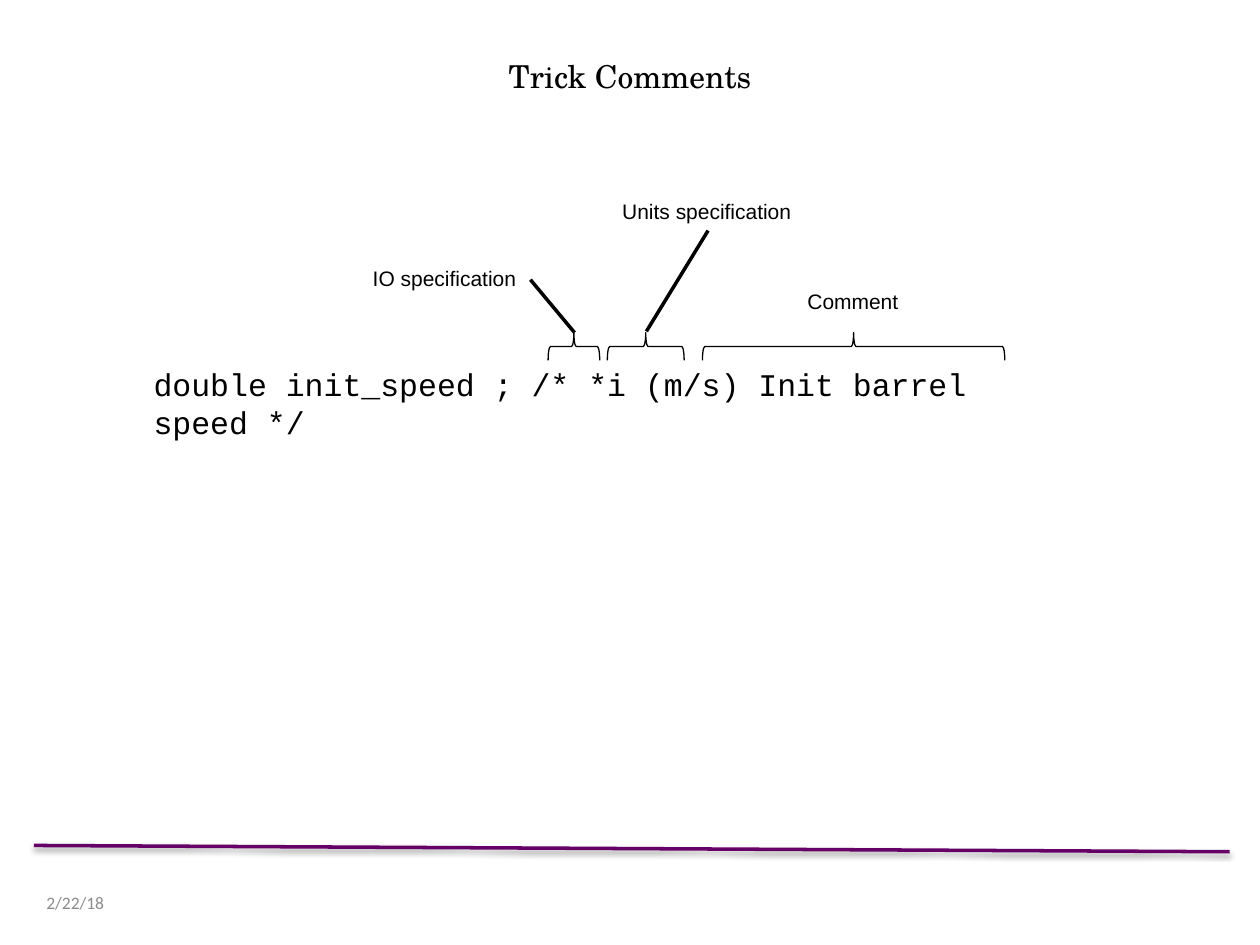
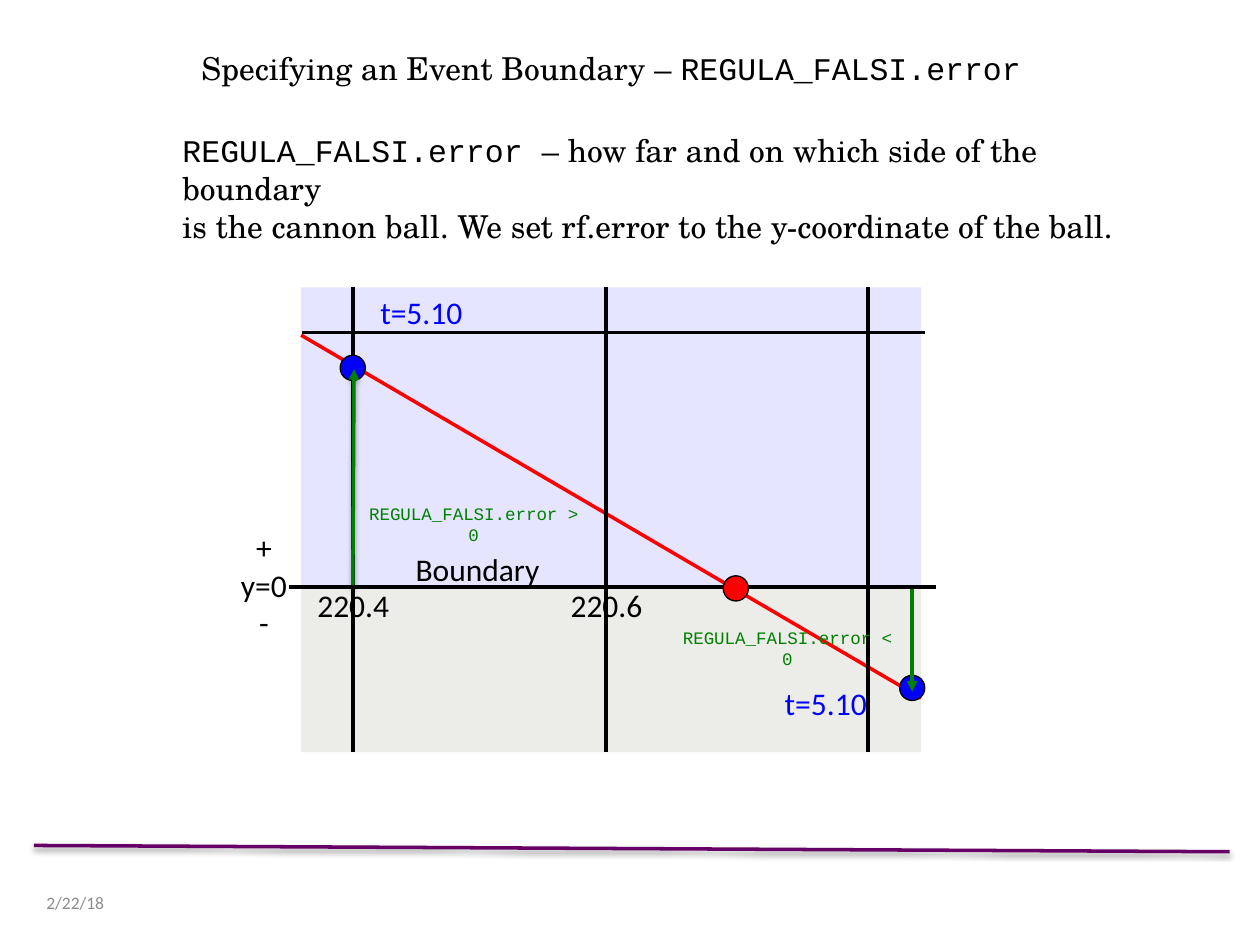
from collections import namedtuple

from lxml.etree import SubElement
from pptx import Presentation
from pptx.dml.color import RGBColor
from pptx.enum.shapes import MSO_CONNECTOR, MSO_SHAPE
from pptx.enum.text import MSO_ANCHOR, PP_ALIGN
from pptx.oxml.ns import qn
from pptx.util import Inches, Pt

BLACK = RGBColor(0x00, 0x00, 0x00)
PURPLE = RGBColor(0x66, 0x00, 0x66)
GREY = RGBColor(0x8C, 0x8C, 0x8C)
BLUE = RGBColor(0x00, 0x00, 0xFF)
RED = RGBColor(0xFF, 0x00, 0x00)
GREEN = RGBColor(0x00, 0x80, 0x00)
EARTH = RGBColor(0x4A, 0x45, 0x2A)

SERIF, SANS, LABEL, MONO = "TeX Gyre Schola", "Calibri", "Arial", "Courier New"
COLUMNS, ROWS = 100, 75
HAIRLINE, BOLD_LINE = 0, 2

Box = namedtuple("Box", "left top width height")


def cells(count):
    """Turn a count of grid cells into a length."""
    return Inches(count / 10)


def inside(box, left, top, width=0, height=0):
    """Return a box whose corner is measured from the corner of another."""
    return Box(box.left + left, box.top + top, width, height)


def add_text(slide, box, content, font=SANS, size=18, color=BLACK,
             align=PP_ALIGN.LEFT, anchor=MSO_ANCHOR.TOP, wrap=False):
    """Write paragraphs, each a string or a list of (words, font) runs."""
    frame = slide.shapes.add_textbox(*map(cells, box)).text_frame
    frame.word_wrap = wrap
    frame.vertical_anchor = anchor
    paragraphs = [content] if isinstance(content, str) else content
    for index, runs in enumerate(paragraphs):
        paragraph = frame.add_paragraph() if index else frame.paragraphs[0]
        paragraph.alignment = align
        for words, face in [(runs, font)] if isinstance(runs, str) else runs:
            run = paragraph.add_run()
            run.text = words
            run.font.name, run.font.size = face, Pt(size)
            run.font.color.rgb = color


def add_line(slide, box, start, end, color=BLACK, weight=HAIRLINE,
             arrow=False, shadow=False):
    """Draw a line between two points measured from the corner of a box."""
    ends = [cells(length) for point in (start, end)
            for length in inside(box, *point)[:2]]
    line = slide.shapes.add_connector(MSO_CONNECTOR.STRAIGHT, *ends)
    line.line.color.rgb = color
    line.line.width = Pt(weight)
    properties = line._element.spPr
    if arrow:
        SubElement(properties.find(qn("a:ln")), qn("a:tailEnd"), type="triangle")
    effects = SubElement(properties, qn("a:effectLst"))
    if shadow:
        outer = SubElement(effects, qn("a:outerShdw"), blurRad=str(Pt(3.1)),
                           dist=str(Pt(1.6)), dir="5400000", rotWithShape="0")
        tone = SubElement(outer, qn("a:srgbClr"), val=str(BLACK))
        SubElement(tone, qn("a:alpha"), val="38000")


def add_figure(slide, preset, box, fill=None, opacity=100, weight=None):
    """Draw a preset shape with an optional fill and black outline."""
    figure = slide.shapes.add_shape(preset, *map(cells, box))
    figure.shadow.inherit = False
    if fill is None:
        figure.fill.background()
    else:
        figure.fill.solid()
        figure.fill.fore_color.rgb = fill
        tone = figure._element.spPr.find(qn("a:solidFill"))[0]
        SubElement(tone, qn("a:alpha"), val=str(opacity * 1000))
    if weight is None:
        figure.line.fill.background()
    else:
        figure.line.color.rgb = BLACK
        figure.line.width = Pt(weight)
    return figure


def add_brace(slide, box):
    """Draw a brace that spans the box and points upward."""
    left = box.left + (box.width - box.height) / 2
    top = box.top + (box.height - box.width) / 2
    brace = add_figure(slide, MSO_SHAPE.RIGHT_BRACE,
                       Box(left, top, box.height, box.width), weight=HAIRLINE)
    brace.rotation = 270


def add_ball(slide, box, center, color):
    """Draw a ball around a point measured from the corner of a box."""
    x, y = center
    add_figure(slide, MSO_SHAPE.OVAL, inside(box, x - 1, y - 1, 2, 2),
               fill=color, weight=0.75)


def add_title(slide, box, *runs):
    """Write a centred slide title."""
    add_text(slide, box, [list(runs)], align=PP_ALIGN.CENTER, wrap=True)


def add_footer(slide, box):
    """Draw the footer rule and the date."""
    add_line(slide, box, (0, 0), (box.width, 0.5), PURPLE, BOLD_LINE, shadow=True)
    add_text(slide, inside(box, 0, 3.6, 23.3, 1.8), "2/22/18", size=10,
             color=GREY, anchor=MSO_ANCHOR.MIDDLE, wrap=True)


def add_declaration(slide, box):
    """Show the annotated declaration with its braces and labels."""
    add_text(slide, inside(box, 0, 13.2, box.width, 4),
             "double init_speed ; /* *i (m/s) Init barrel speed */",
             font=MONO, wrap=True)
    for words, left, top, width in (("Units specification", 37.2, 0, 15.6),
                                    ("IO specification", 17.4, 5.3, 13.5),
                                    ("Comment", 51.9, 7.1, 9.3)):
        add_text(slide, inside(box, left, top, width, 3), words, font=LABEL, size=12)
    for left, span in ((32.3, 4.1), (37, 6.1), (44.55, 24)):
        add_brace(slide, inside(box, left, 11.1, span, 2.2))
    add_line(slide, box, (30.9, 6.9), (34.4, 11.1))
    add_line(slide, box, (45, 3), (40.1, 11))


def add_trajectory_plot(slide, box):
    """Plot the ball crossing the boundary between two steps."""
    ground, top_line = 23.8, 3.6
    before, root, after = (4.1, 6.4), (34.5, 23.9), (48.5, 31.8)
    add_figure(slide, MSO_SHAPE.RECTANGLE,
               inside(box, 0, ground, box.width, box.height - ground), EARTH, 10)
    add_figure(slide, MSO_SHAPE.RECTANGLE,
               inside(box, 0, 0, box.width, ground), BLUE, 10)
    add_line(slide, box, (0, 3.8), (box.width, 32.6), RED, BOLD_LINE)
    add_line(slide, box, (0.1, top_line), (49.5, top_line))
    for x, distance in ((before[0], "220.4"), (24.2, "220.6"), (45, "")):
        add_line(slide, box, (x, 0), (x, box.height))
        if distance:
            add_text(slide, inside(box, x - 3.8, 23.2, 7.8, 4), distance)
    for center in (before, after):
        add_ball(slide, box, center, BLUE)
    add_line(slide, box, (4.1, ground), (4.2, 6.5), GREEN, BOLD_LINE,
             arrow=True, shadow=True)
    add_line(slide, box, (48.5, ground), (48.5, 32.1), GREEN, BOLD_LINE, arrow=True)
    add_line(slide, box, (-1, ground), (50.4, ground), weight=BOLD_LINE)
    add_ball(slide, box, root, RED)
    for left, top in ((5.3, 0), (37.4, 31)):
        add_text(slide, inside(box, left, top, 8.6, 4), "t=5.10", color=BLUE)
    for sign, left, top in ((">", 4.2, 16.6), ("<", 29.1, 26.5)):
        add_text(slide, inside(box, left, top, 19, 2.7),
                 f"REGULA_FALSI.error {sign} 0", font=MONO, size=10,
                 color=GREEN, align=PP_ALIGN.CENTER, wrap=True)
    add_text(slide, inside(box, 8.1, 20.4, 12, 4), "Boundary")
    add_text(slide, inside(box, -5.8, 18.6, 5.7, 10.1), ["+", "y=0", "-"],
             align=PP_ALIGN.CENTER)


def add_explanation(slide, box):
    """Explain what the error value measures."""
    add_text(slide, box, [
        [("REGULA_FALSI.error ", MONO),
         ("– how far and on which side of the boundary", SERIF)],
        "is the cannon ball. We set rf.error to the y-coordinate of the ball.",
    ], font=SERIF, wrap=True)


def new_slide(deck):
    """Add a blank slide with the shared footer."""
    slide = deck.slides.add_slide(deck.slide_layouts[6])
    add_footer(slide, Box(2.7, 67.1, 94.9, 5.4))
    return slide


def comments_slide(deck):
    """Build the slide on comments."""
    slide = new_slide(deck)
    add_declaration(slide, Box(11.2, 15.3, 74.2, 17.2))
    add_title(slide, Box(0, 4, COLUMNS, 4), ("Trick Comments", SERIF))


def boundary_slide(deck):
    """Build the slide on the event boundary."""
    slide = new_slide(deck)
    add_title(slide, Box(0, 3.4, COLUMNS - 3, 4),
              ("Specifying an Event Boundary – ", SERIF),
              ("REGULA_FALSI.error", MONO))
    add_trajectory_plot(slide, Box(23.9, 22.8, 49.2, 36.9))
    add_explanation(slide, Box(13.5, 9.9, 79.4, 7.1))


def main():
    """Build and save the presentation."""
    deck = Presentation()
    deck.slide_width, deck.slide_height = cells(COLUMNS), cells(ROWS)
    comments_slide(deck)
    boundary_slide(deck)
    deck.save("out.pptx")


if __name__ == "__main__":
    main()
